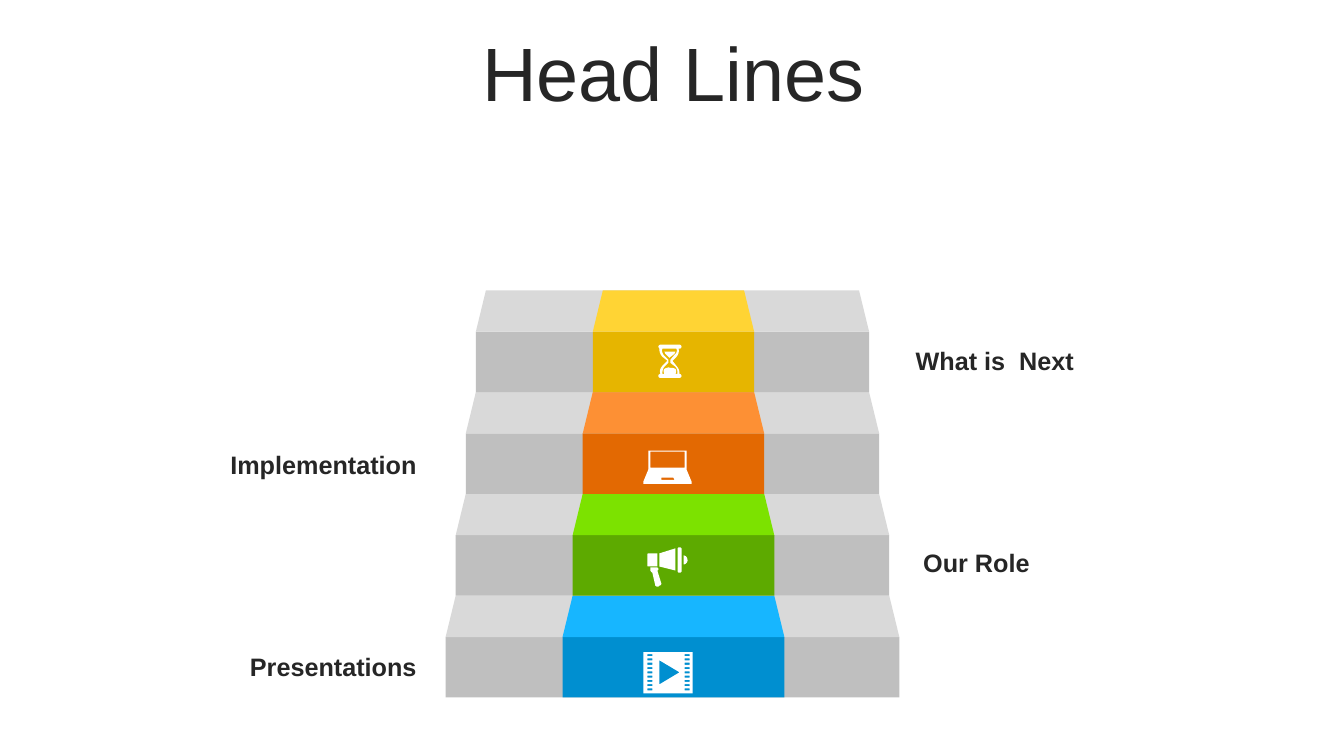
import pptx
import pptx.util
import pptx.dml.color
import pptx.enum.shapes
import pptx.enum.text

Inches = pptx.util.Inches
RECTANGLE = pptx.enum.shapes.MSO_SHAPE.RECTANGLE
TRAPEZOID = pptx.enum.shapes.MSO_SHAPE.TRAPEZOID
ALIGN = pptx.enum.text.PP_ALIGN


def paint(color_format, color):
    color_format.rgb = pptx.dml.color.RGBColor.from_string(color)


def trace(contour):
    points = [contour[0]]
    for item in contour[1:]:
        if len(item) == 2:
            points.append(item)
            continue
        start = points[-1]
        controls = [start, item[0:2], item[2:4], item[4:6]]
        for step in range(1, 7):
            t = step / 6
            weights = [(1 - t) ** 3, 3 * t * (1 - t) ** 2, 3 * t * t * (1 - t), t ** 3]
            points.append(tuple(
                sum(weight * control[axis] for weight, control in zip(weights, controls))
                for axis in (0, 1)))
    return [(x * 1000, y * 1000) for x, y in points]


presentation = pptx.Presentation()
presentation.slide_width = Inches(13.33)
presentation.slide_height = Inches(7.5)
slide = presentation.slides.add_slide(presentation.slide_layouts[5])

title = slide.shapes.title
title.left, title.top = Inches(0.35), Inches(0.37)
title.width, title.height = Inches(12.66), Inches(0.79)
title.text_frame.text = "Head Lines"
title.text_frame.vertical_anchor = pptx.enum.text.MSO_ANCHOR.MIDDLE
paragraph = title.text_frame.paragraphs[0]
paragraph.alignment = ALIGN.CENTER
paragraph.line_spacing = 0.9
paragraph.font.size = pptx.util.Pt(54)
paragraph.font.name = "Arial"
paint(paragraph.font.color, "262626")

riser_height, tread_height, inset = 0.6, 0.41, 0.1
carpet_colors = [
    ("008FD0", "17B6FF"),
    ("5DAA00", "7CE200"),
    ("E36902", "FD9034"),
    ("E6B500", "FFD434"),
]
for level, (carpet_riser, carpet_tread) in enumerate(carpet_colors):
    riser_top = 6.32 - level * (riser_height + tread_height)
    strips = [
        (4.42, 4.5, "BFBFBF", "D9D9D9"),
        (5.58, 2.2, carpet_riser, carpet_tread),
    ]
    for left, width, riser_color, tread_color in strips:
        faces = [
            (RECTANGLE, riser_top, riser_height, riser_color),
            (TRAPEZOID, riser_top - tread_height, tread_height, tread_color),
        ]
        for preset, top, height, color in faces:
            shape = slide.shapes.add_shape(
                preset, Inches(left + level * inset), Inches(top),
                Inches(width - 2 * level * inset), Inches(height))
            shape.shadow.inherit = False
            shape.fill.solid()
            paint(shape.fill.fore_color, color)
            shape.line.fill.background()
            if preset == TRAPEZOID:
                shape.adjustments[0] = inset / tread_height

hourglass = [
    [(6.65, 3.65), (6.67, 3.65, 6.68, 3.65, 6.7, 3.66), (6.71, 3.67, 6.71, 3.69, 6.7, 3.71),
     (6.59, 3.71), (6.58, 3.69, 6.58, 3.67, 6.59, 3.66), (6.61, 3.65, 6.63, 3.64, 6.65, 3.65)],
    [(6.59, 3.49), (6.7, 3.49), (6.69, 3.51), (6.64, 3.55), (6.6, 3.51)],
    [(6.57, 3.46), (6.56, 3.48, 6.57, 3.51, 6.59, 3.53), (6.63, 3.57), (6.63, 3.6),
     (6.59, 3.64), (6.57, 3.66, 6.57, 3.69, 6.57, 3.71), (6.72, 3.71),
     (6.72, 3.69, 6.72, 3.66, 6.7, 3.64), (6.65, 3.6), (6.65, 3.57), (6.69, 3.52),
     (6.71, 3.51, 6.72, 3.48, 6.71, 3.46)],
    [(6.55, 3.42), (6.74, 3.42), (6.75, 3.42, 6.76, 3.43, 6.76, 3.44),
     (6.76, 3.45, 6.75, 3.46, 6.74, 3.46), (6.73, 3.46),
     (6.74, 3.48, 6.73, 3.52, 6.71, 3.54), (6.67, 3.58), (6.71, 3.63),
     (6.73, 3.65, 6.74, 3.68, 6.74, 3.71), (6.75, 3.71, 6.76, 3.72, 6.76, 3.73),
     (6.76, 3.74, 6.75, 3.75, 6.74, 3.75), (6.55, 3.75),
     (6.54, 3.75, 6.53, 3.74, 6.53, 3.73), (6.53, 3.72, 6.54, 3.71, 6.55, 3.71),
     (6.54, 3.68, 6.55, 3.65, 6.57, 3.63), (6.62, 3.58), (6.57, 3.54),
     (6.55, 3.52, 6.54, 3.49, 6.54, 3.46), (6.54, 3.45, 6.53, 3.45, 6.53, 3.44),
     (6.53, 3.43, 6.54, 3.42, 6.55, 3.42)],
]
megaphone = [
    [(6.52, 5.63), (6.53, 5.64), (6.53, 5.65, 6.53, 5.66, 6.52, 5.66), (6.56, 5.79),
     (6.56, 5.8, 6.55, 5.81, 6.54, 5.81), (6.53, 5.82), (6.52, 5.82, 6.51, 5.82, 6.5, 5.81),
     (6.47, 5.68), (6.46, 5.68, 6.46, 5.67, 6.45, 5.66), (6.45, 5.63)],
    [(6.78, 5.51), (6.8, 5.51, 6.82, 5.53, 6.82, 5.56), (6.82, 5.58, 6.8, 5.6, 6.78, 5.6)],
    [(6.43, 5.49), (6.52, 5.49), (6.52, 5.62), (6.43, 5.62),
     (6.42, 5.62, 6.42, 5.61, 6.42, 5.6), (6.42, 5.51), (6.42, 5.5, 6.42, 5.49, 6.43, 5.49)],
    [(6.7, 5.44), (6.7, 5.66), (6.54, 5.62), (6.54, 5.49)],
    [(6.73, 5.43), (6.75, 5.43), (6.76, 5.44), (6.76, 5.67), (6.75, 5.68), (6.73, 5.68),
     (6.72, 5.67), (6.72, 5.44)],
]
laptop = [
    [(6.56, 4.74), (6.56, 4.76), (6.69, 4.76), (6.68, 4.74)],
    [(6.45, 4.48), (6.45, 4.64), (6.79, 4.64), (6.79, 4.48)],
    [(6.43, 4.47), (6.81, 4.47), (6.81, 4.66), (6.86, 4.78), (6.86, 4.8), (6.38, 4.8),
     (6.38, 4.78), (6.43, 4.66)],
]
film = [
    [(6.38, 6.47), (6.87, 6.47), (6.87, 6.88), (6.38, 6.88)],
    [(6.54, 6.55), (6.54, 6.79), (6.74, 6.67)],
]
for left in (6.42, 6.79):
    for row in range(9):
        top = 6.49 + row * 0.34 / 8
        right, bottom = left + 0.05, top + 0.02
        film.append([(left, top), (left, bottom), (right, bottom), (right, top)])

for icon in (hourglass, megaphone, film, laptop):
    outlines = [trace(contour) for contour in icon]
    builder = slide.shapes.build_freeform(*outlines[0][0], scale=Inches(1) / 1000)
    builder.add_line_segments(outlines[0][1:], close=True)
    for outline in outlines[1:]:
        builder.move_to(*outline[0])
        builder.add_line_segments(outline[1:], close=True)
    shape = builder.convert_to_shape()
    shape.shadow.inherit = False
    shape.fill.solid()
    paint(shape.fill.fore_color, "FFFFFF")
    shape.line.fill.background()

labels = [
    ("Presentations", 0.71, 6.41, 3.52),
    ("Our Role", 8.92, 5.38, 1.39),
    ("Implementation", 0.71, 4.41, 3.52),
    ("What is  Next", 8.92, 3.38, 1.83),
]
for text, left, top, width in labels:
    label = slide.shapes.add_textbox(Inches(left), Inches(top), Inches(width), Inches(0.4))
    label.text_frame.word_wrap = True
    label.text_frame.auto_size = pptx.enum.text.MSO_AUTO_SIZE.SHAPE_TO_FIT_TEXT
    label.text_frame.text = text
    paragraph = label.text_frame.paragraphs[0]
    paragraph.alignment = ALIGN.RIGHT
    paragraph.font.size = pptx.util.Pt(18)
    paragraph.font.name = "Arial"
    paragraph.font.bold = True
    paint(paragraph.font.color, "262626")

presentation.save("out.pptx")
